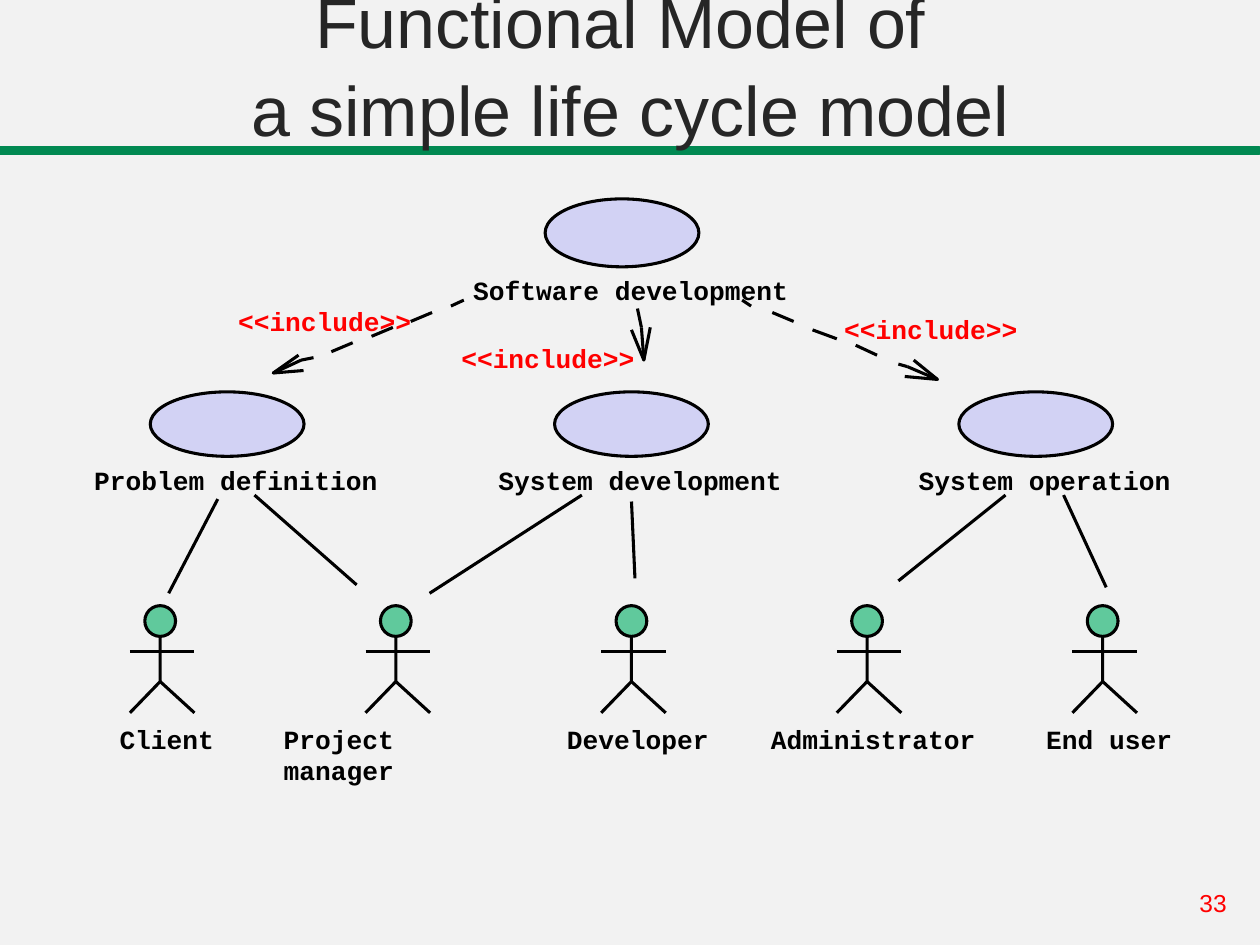
import pptx
import pptx.util
import pptx.dml.color
import pptx.enum.shapes
import pptx.enum.text
import pptx.oxml
from pptx.util import Cm

SHAPE = pptx.enum.shapes.MSO_SHAPE
ALIGN = pptx.enum.text.PP_ALIGN
ANCHOR = pptx.enum.text.MSO_ANCHOR
EFFECT = ('<a:effectLst xmlns:a='
          '"http://schemas.openxmlformats.org/drawingml/2006/main"/>')

BLACK, RED, GREEN = "000000", "FF0000", "018952"
CODE = {"name": "Courier New", "size": pptx.util.Pt(15), "bold": True}
CHAR = 0.32  # width of one label letter, cm

ACTORS = ["Client", "Project\vmanager", "Developer", "Administrator", "End user"]

# centre x, top, height, name
CASES = [
    (12.54, 4.01, 1.37, "Software development"),
    (4.58, 7.9, 1.3, "Problem definition"),
    (12.73, 7.9, 1.3, "System development"),
    (20.88, 7.9, 1.3, "System operation"),
]

# actor end, use case end
LINKS = [
    (3.4, 11.96, 4.39, 10.06), (7.19, 11.79, 5.13, 9.98),
    (8.66, 11.96, 11.73, 9.98), (12.8, 11.66, 12.73, 10.11),
    (18.11, 11.71, 20.27, 9.98), (22.3, 11.84, 21.44, 9.98),
]

# tip of the arrow; then dashes, barbs and label measured from the tip
ARROWS = [
    ((5.51, 7.52),
     [(3.84, -1.47, 3.58, -1.35), (3.2, -1.22, 2.77, -1.04),
      (2.41, -0.92, 1.98, -0.74), (1.6, -0.61, 1.17, -0.43),
      (0.81, -0.31, 0.56, -0.26), (0.56, -0.26, 0, 0)],
     [(0.61, -0.05), (0.51, -0.36)], (-0.71, -1.37)),
    ((12.98, 7.26),
     [(-0.13, -1.04, -0.05, -0.66), (-0.05, -0.66, 0, 0)],
     [(0.13, -0.66), (-0.25, -0.61)], (-3.68, -0.35)),
    ((18.9, 7.65),
     [(-3.94, -1.6, -3.76, -1.48), (-3.33, -1.35, -2.9, -1.17),
      (-2.52, -1, -2.03, -0.82), (-1.65, -0.69, -1.22, -0.49),
      (-0.79, -0.31, -0.61, -0.26), (-0.61, -0.26, 0, 0)],
     [(-0.48, -0.39), (-0.66, -0.06)], (-1.88, -1.33)),
]


def color(code):
    return pptx.dml.color.RGBColor.from_string(code)


def assign(target, values):
    for name, value in values.items():
        setattr(target, name, value)


def stroke(item, code=BLACK):
    item.line.color.rgb = color(code)
    item.line.width = pptx.util.Pt(1.75)


def line(slide, x1, y1, x2, y2):
    item = slide.shapes.add_connector(
        pptx.enum.shapes.MSO_CONNECTOR.STRAIGHT, Cm(x1), Cm(y1), Cm(x2), Cm(y2))
    stroke(item)
    item._element.spPr.append(pptx.oxml.parse_xml(EFFECT))


def outline(slide, points):
    """Draw an open, unfilled path through the points."""
    first, *rest = [(Cm(x), Cm(y)) for x, y in points]
    builder = slide.shapes.build_freeform(*first)
    builder.add_line_segments(rest, close=False)
    item = builder.convert_to_shape()
    item.shadow.inherit = False
    item.fill.background()
    stroke(item)


def solid(slide, kind, box, fill, edge=BLACK):
    item = slide.shapes.add_shape(kind, *map(Cm, box))
    item.shadow.inherit = False
    item.fill.solid()
    item.fill.fore_color.rgb = color(fill)
    stroke(item, edge)


def write(slide, box, text, font, code=BLACK, inset=(0, 0),
          frame=None, para=None):
    body = slide.shapes.add_textbox(*map(Cm, box)).text_frame
    side, edge = map(Cm, inset)
    assign(body, {"word_wrap": True, "margin_left": side, "margin_right": side,
                  "margin_top": edge, "margin_bottom": edge, **(frame or {})})
    first = body.paragraphs[0]
    first.text = text
    assign(first, para or {})
    for run in first.runs:
        assign(run.font, font)
        run.font.color.rgb = color(code)


def label(slide, x, y, text, code=BLACK):
    write(slide, (x, y, CHAR * len(text), 0.63), text, CODE, code)


def header(slide, x, y, wide, high):
    solid(slide, SHAPE.RECTANGLE, (x, y + 2.97, wide, 0.13), GREEN, GREEN)
    write(slide, (x, y + 0.43, wide, high),
          "Functional Model of \va simple life cycle model",
          {"name": "Arial", "size": pptx.util.Pt(40)}, "262626", (0.25, 0.13),
          {"vertical_anchor": ANCHOR.BOTTOM},
          {"alignment": ALIGN.CENTER, "line_spacing": 1.05})


def footer(slide, x, y):
    write(slide, (x, y, 1.47, 0.86), "33",
          {"name": "Arial", "size": pptx.util.Pt(14)}, RED, (0.25, 0.13))


def actor(slide, mid, top, name):
    """Draw a stick figure around the middle line, with its name below."""
    left, right = mid - 0.61, mid + 0.69
    hip, foot = top + 1.53, top + 2.16
    outline(slide, [(mid, top + 0.5), (mid, hip), (left, foot)])
    line(slide, mid, hip, right, foot)
    line(slide, left, top + 0.92, right, top + 0.92)
    solid(slide, SHAPE.OVAL, (mid - 0.31, top, 0.62, 0.62), "60C99C")
    label(slide, mid + 0.14 - CHAR * len(name) / 2, top + 2.37, name)


def case(slide, mid, top, high, name):
    """Draw a use case oval around the middle line, with its name below."""
    solid(slide, SHAPE.OVAL, (mid - 1.55, top, 3.1, high), "D2D2F4")
    label(slide, mid + 0.2 - CHAR * len(name) / 2, top + high + 0.15, name)


def include(slide, tip, dashes, barbs, note):
    x, y = tip
    for x1, y1, x2, y2 in dashes:
        line(slide, x + x1, y + y1, x + x2, y + y2)
    (ax, ay), (bx, by) = barbs
    outline(slide, [(x + ax, y + ay), tip, (x + bx, y + by)])
    label(slide, x + note[0], y + note[1], "<<include>>", RED)


def main():
    deck = pptx.Presentation()
    assign(deck, {"slide_width": Cm(25.4), "slide_height": Cm(19.05)})
    slide = deck.slides.add_slide(deck.slide_layouts[6])
    slide.background.fill.solid()
    slide.background.fill.fore_color.rgb = color("F2F2F2")

    header(slide, 0, 0, 25.4, 2.74)
    footer(slide, 23.93, 17.78)
    for index, name in enumerate(ACTORS):
        actor(slide, 3.23 + 4.75 * index, 12.21, name)
    for link in LINKS:
        line(slide, *link)
    for arrow in ARROWS:
        include(slide, *arrow)
    for item in CASES:
        case(slide, *item)
    deck.save("out.pptx")


if __name__ == "__main__":
    main()
